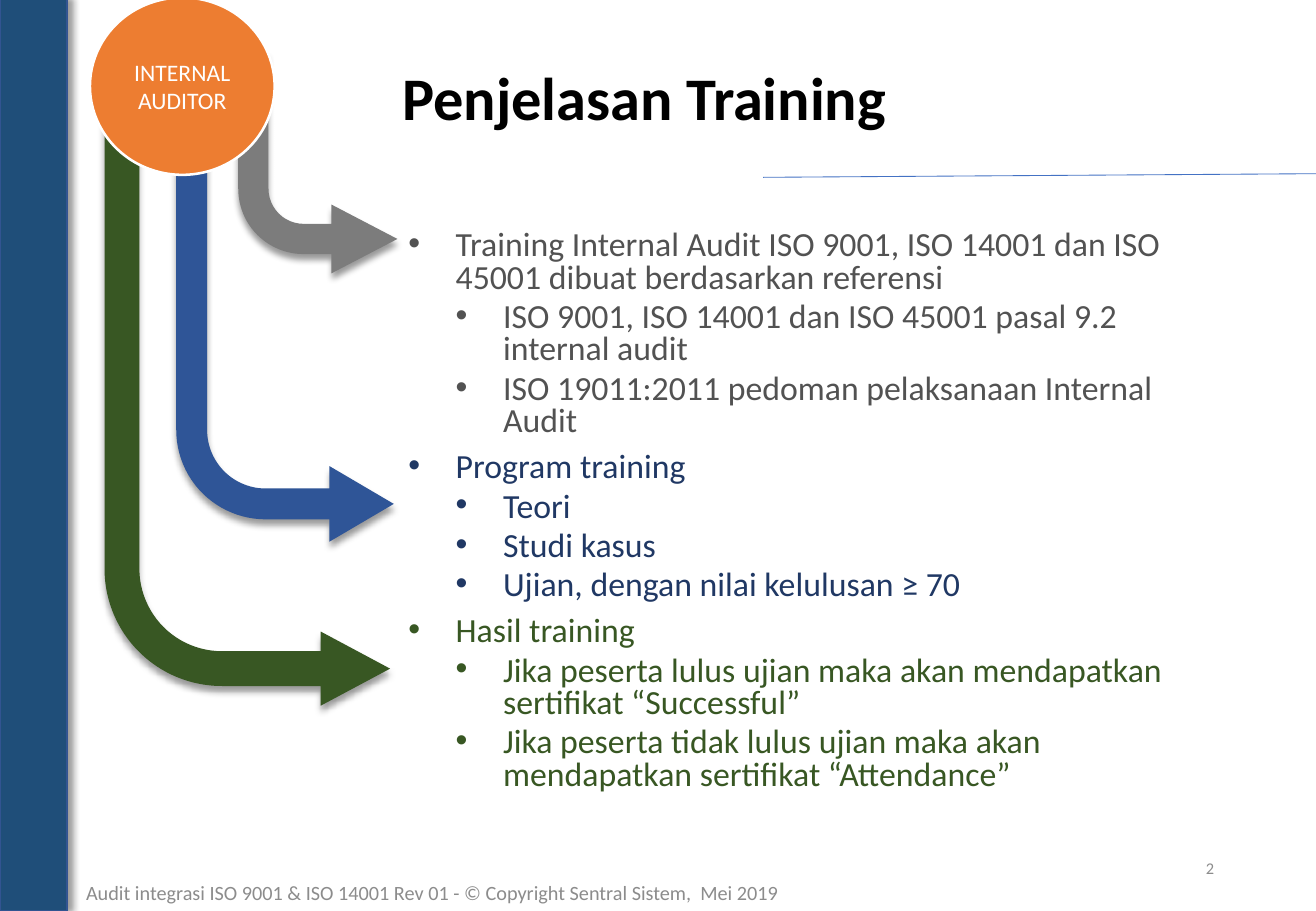
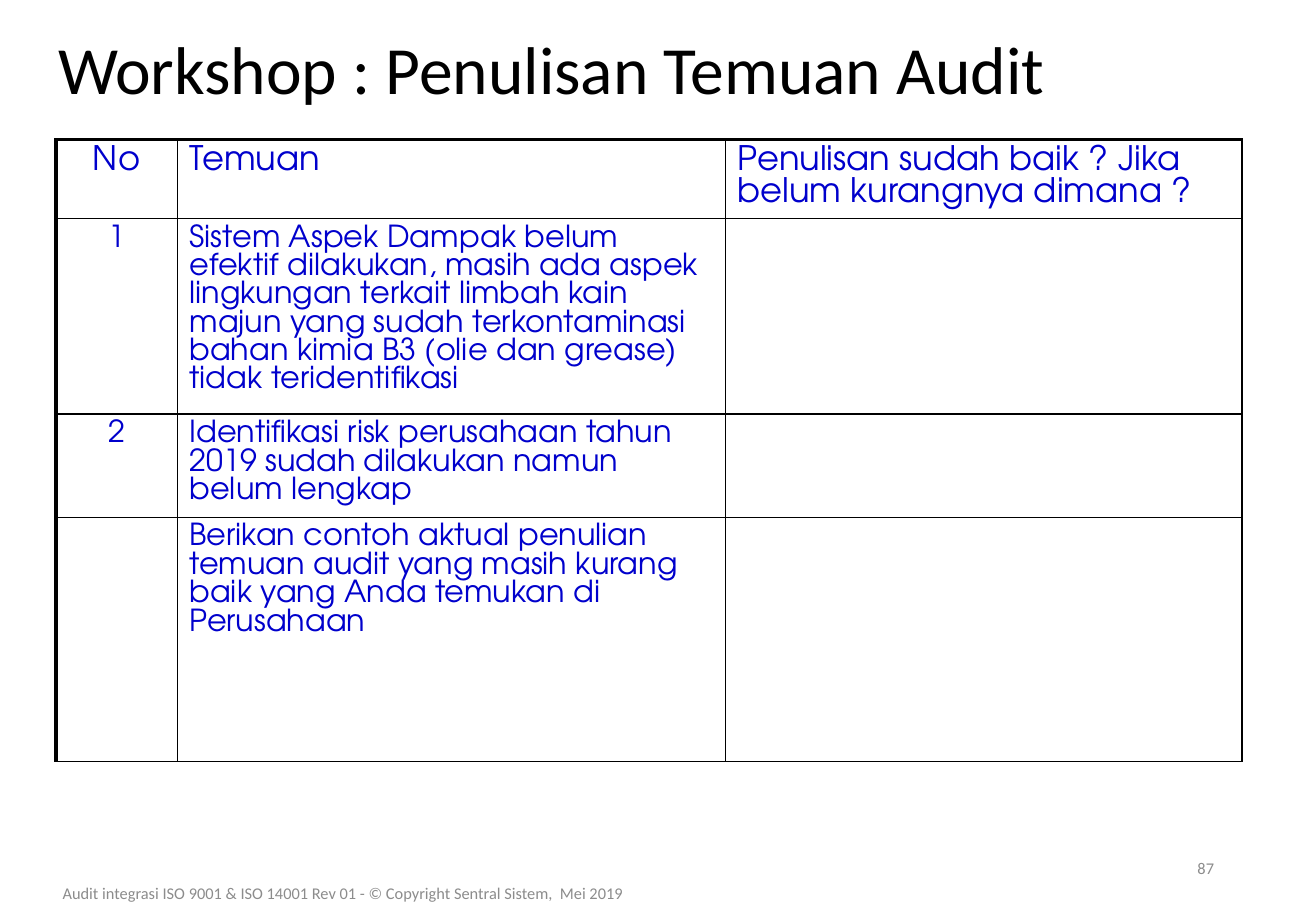
"""Build two audit training slides: an overview with arrows and a workshop table."""
from dataclasses import dataclass

from lxml import etree
from pptx import Presentation
from pptx.dml.color import RGBColor
from pptx.enum.shapes import MSO_CONNECTOR, MSO_SHAPE
from pptx.enum.text import MSO_ANCHOR, MSO_AUTO_SIZE, PP_ALIGN
from pptx.oxml.ns import qn
from pptx.util import Inches, Pt

LEFT, CENTER, RIGHT = PP_ALIGN.LEFT, PP_ALIGN.CENTER, PP_ALIGN.RIGHT
MIDDLE = MSO_ANCHOR.MIDDLE
NO_FIT = MSO_AUTO_SIZE.NONE
BENT_ARROW, OVAL, RECT = MSO_SHAPE.BENT_ARROW, MSO_SHAPE.OVAL, MSO_SHAPE.RECTANGLE
STRAIGHT = MSO_CONNECTOR.STRAIGHT


@dataclass(frozen=True)
class Theme:
    font: str = "Calibri"
    table_font: str = "TeX Gyre Adventor"
    black: str = "000000"
    white: str = "FFFFFF"
    muted: str = "8C8C8C"
    reference: str = "525252"
    program: str = "203864"
    result: str = "385723"
    arrow_gray: str = "7C7C7C"
    arrow_blue: str = "2F5597"
    badge: str = "ED7D31"
    bar: str = "1F4E79"
    bar_line: str = "325491"
    rule: str = "4472C4"
    table_text: str = "0000CC"
    title: float = 35.8
    workshop_title: float = 40
    body: float = 20
    cell: float = 18
    head_pitch: float = 18.7
    cell_pitch: float = 16.8
    label: float = 14
    footer: float = 12
    small: float = 9.7


T = Theme()


def write(p, text, size, color, font=T.font, bold=False, align=LEFT,
          spacing=None, before=0, bullet=None, margin=0, hanging=0):
    p.alignment = align
    p.space_before = Pt(before)
    if spacing:
        p.line_spacing = spacing
    if bullet:
        pPr = p._p.get_or_add_pPr()
        pPr.set("marL", str(Inches(margin)))
        pPr.set("indent", str(-Inches(hanging)))
        etree.SubElement(pPr, qn("a:buFont")).set("typeface", "Arial")
        etree.SubElement(pPr, qn("a:buChar")).set("char", bullet)
    r = p.add_run()
    r.text = text
    r.font.size = Pt(size)
    r.font.name = font
    r.font.bold = bold
    r.font.color.rgb = RGBColor.from_string(color)


def add_shape(slide, kind, box, fill, line=None, width=1, shadow_angle=None):
    sp = slide.shapes.add_shape(kind, *map(Inches, box))
    sp.fill.solid()
    sp.fill.fore_color.rgb = RGBColor.from_string(fill)
    if line:
        sp.line.color.rgb = RGBColor.from_string(line)
        sp.line.width = Pt(width)
    else:
        sp.line.fill.background()
    sp.shadow.inherit = False
    if shadow_angle is not None:
        effects = sp._element.spPr.find(qn("a:effectLst"))
        shadow = etree.SubElement(effects, qn("a:outerShdw"), blurRad=str(Pt(4)),
                                  dist=str(Pt(3)), dir=str(shadow_angle * 60000),
                                  algn="ctr", rotWithShape="0")
        color = etree.SubElement(shadow, qn("a:srgbClr"), val=T.black)
        etree.SubElement(color, qn("a:alpha"), val="40000")
    return sp


prs = Presentation()
prs.slide_width, prs.slide_height = Inches(10.83), Inches(7.5)
training = prs.slides.add_slide(prs.slide_layouts[1])
workshop = prs.slides.add_slide(prs.slide_layouts[5])

titles = [
    (training, "Penjelasan Training", (3.21, 0.21, 6.52, 1.25), T.title, True),
    (workshop, "Workshop : Penulisan Temuan Audit", (0.38, -0.03, 9.91, 1.25),
     T.workshop_title, False),
]
for slide, text, box, size, bold in titles:
    sp = slide.shapes.title
    sp.left, sp.top, sp.width, sp.height = map(Inches, box)
    tf = sp.text_frame
    tf.auto_size = NO_FIT
    tf.vertical_anchor = MIDDLE
    write(tf.paragraphs[0], text, size, T.black, bold=bold, spacing=0.9)

COPYRIGHT = "Audit integrasi ISO 9001 & ISO 14001 Rev 01 - © Copyright Sentral Sistem,  Mei 2019"
NUMBER_BOX = (7.65, 6.95, 2.44, 0.4)
footers = [
    (training, COPYRIGHT, (0.61, 7.17, 6.78, 0.35), T.footer, LEFT),
    (training, "2", NUMBER_BOX, T.small, RIGHT),
    (workshop, COPYRIGHT, (-0.49, 7.15, 6.63, 0.4), T.small, CENTER),
    (workshop, "87", NUMBER_BOX, T.small, RIGHT),
]
for slide, text, box, size, align in footers:
    tf = slide.shapes.add_textbox(*map(Inches, box)).text_frame
    tf.word_wrap = True
    tf.vertical_anchor = MIDDLE
    write(tf.paragraphs[0], text, size, T.muted, align=align)

topics = [
    (T.reference, "Training Internal Audit ISO 9001, ISO 14001 dan ISO 45001 dibuat berdasarkan referensi",
     ["ISO 9001, ISO 14001 dan ISO 45001 pasal 9.2 internal audit",
      "ISO 19011:2011 pedoman pelaksanaan Internal Audit"]),
    (T.program, "Program training",
     ["Teori", "Studi kasus", "Ujian, dengan nilai kelulusan ≥ 70"]),
    (T.result, "Hasil training",
     ["Jika peserta lulus ujian maka akan mendapatkan sertifikat “Successful”",
      "Jika peserta tidak lulus ujian maka akan mendapatkan sertifikat “Attendance”"]),
]
body = training.placeholders[1]
body.left, body.top, body.width, body.height = map(Inches, (2.47, 1.85, 7.62, 4.95))
tf = body.text_frame
tf.auto_size = NO_FIT
p = tf.paragraphs[0]
for i, (color, heading, points) in enumerate(topics):
    if i:
        p = tf.add_paragraph()
    write(p, heading, T.body, color, spacing=0.8, before=8.1 if i else 0,
          bullet="•", margin=1.18, hanging=0.39)
    for point in points:
        p = tf.add_paragraph()
        p.level = 1
        write(p, point, T.body, color, spacing=0.8, before=4.1,
              bullet="•", margin=1.57, hanging=0.39)

arrows = [
    ((1.96, 0.44, 1.31, 1.81), T.arrow_gray, (0.19, 0.216, 0.414, 0.411)),
    ((1.45, 0, 1.79, 4.46), T.arrow_blue, (0.142, 0.174, 0.296, 0.411)),
    ((0.86, 0.44, 2.35, 5.37), T.result, (0.122, 0.13, 0.243, 0.411)),
]
for box, color, adjustments in arrows:
    sp = add_shape(training, BENT_ARROW, box, color, shadow_angle=90)
    sp.rotation = 180
    sp._element.spPr.find(qn("a:xfrm")).set("flipH", "1")
    for i, value in enumerate(adjustments):
        sp.adjustments[i] = value

badge = add_shape(training, OVAL, (0.74, -0.02, 1.52, 1.46), T.badge, T.white, 1.5)
tf = badge.text_frame
tf.word_wrap = True
tf.vertical_anchor = MIDDLE
write(tf.paragraphs[0], "INTERNAL AUDITOR", T.label, T.white, align=CENTER)

add_shape(training, RECT, (0, -0.02, 0.55, 7.52), T.bar, T.bar_line, shadow_angle=0)
rule = training.shapes.add_connector(STRAIGHT, *map(Inches, (6.28, 1.46, 10.83, 1.43)))
rule.line.color.rgb = RGBColor.from_string(T.rule)
rule.line.width = Pt(0.5)
etree.SubElement(rule._element.spPr, qn("a:effectLst"))

rows = [
    ("No", "Temuan", "Penulisan sudah baik ? Jika belum kurangnya dimana ?"),
    ("1", "Sistem Aspek Dampak belum efektif dilakukan, masih ada aspek lingkungan terkait "
          "limbah kain majun yang sudah terkontaminasi bahan kimia B3 (olie dan grease) "
          "tidak teridentifikasi", ""),
    ("2", "Identifikasi risk perusahaan tahun 2019 sudah dilakukan namun belum lengkap", ""),
    ("", "Berikan contoh aktual penulian temuan audit yang masih kurang baik yang Anda "
         "temukan di Perusahaan", ""),
]
widths = (1, 4.51, 4.25)
heights = (0.65, 1.61, 0.85, 2.01)
table = workshop.shapes.add_table(len(rows), len(widths), Inches(0.46), Inches(1.15),
                                  Inches(sum(widths)), Inches(sum(heights))).table
table.first_row = table.horz_banding = False
for column, width in zip(table.columns, widths):
    column.width = Inches(width)
for i, (row, height) in enumerate(zip(rows, heights)):
    table.rows[i].height = Inches(height)
    size, pitch = (T.cell, T.cell_pitch) if i else (T.body, T.head_pitch)
    for j, text in enumerate(row):
        cell = table.cell(i, j)
        tcPr = cell._tc.get_or_add_tcPr()
        borders = {"lnL": 1 if j else 2.25, "lnR": 1, "lnT": 1 if i else 2.25, "lnB": 1}
        for side, weight in borders.items():
            ln = etree.SubElement(tcPr, qn("a:" + side), w=str(Pt(weight)))
            fill = etree.SubElement(ln, qn("a:solidFill"))
            etree.SubElement(fill, qn("a:srgbClr"), val=T.black)
        cell.fill.background()
        if text:
            write(cell.text_frame.paragraphs[0], text, size, T.table_text,
                  font=T.table_font, align=LEFT if j else CENTER, spacing=Pt(pitch))

prs.save("out.pptx")
